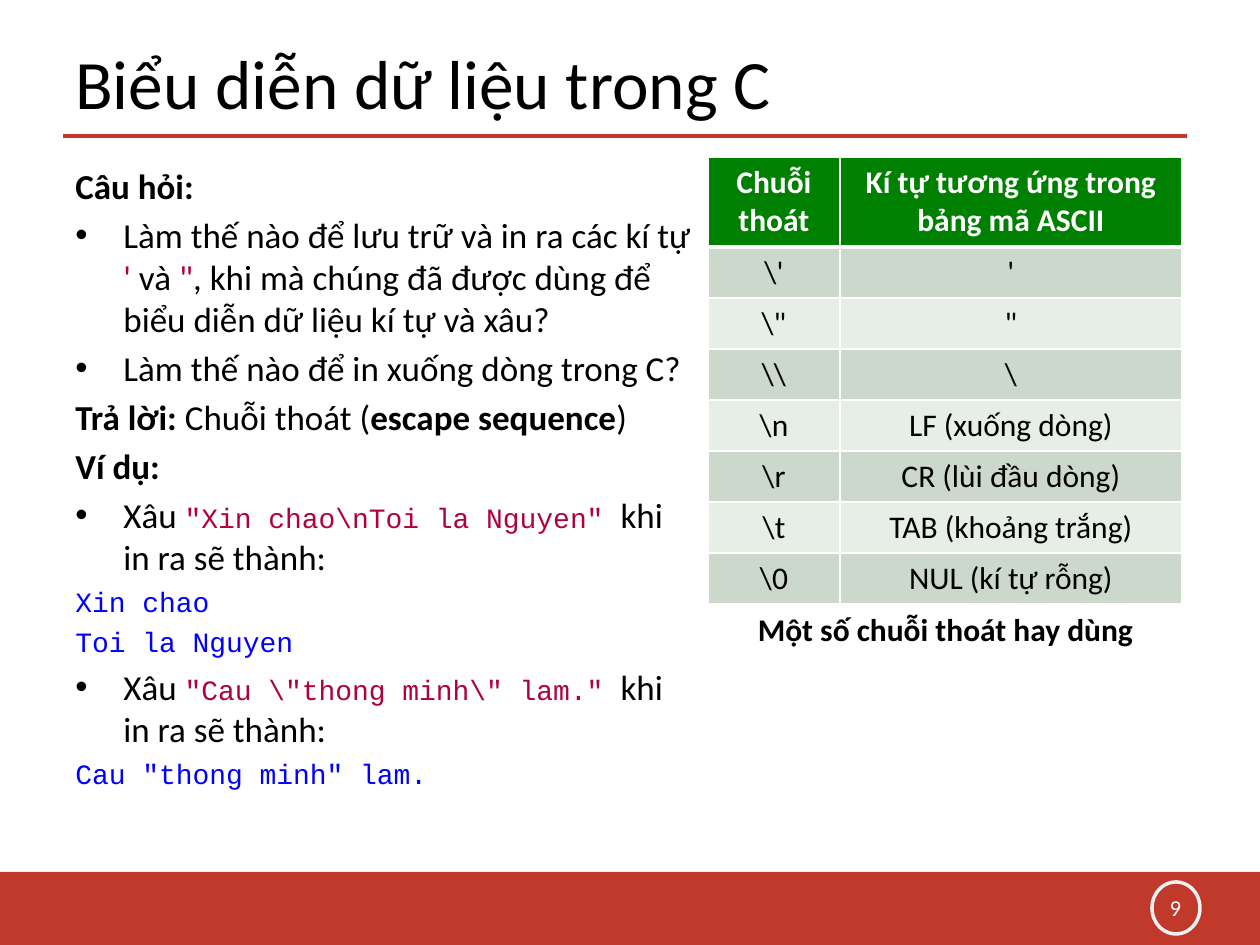
from dataclasses import dataclass

from lxml.etree import SubElement
from pptx import Presentation
from pptx.dml.color import RGBColor
from pptx.enum.shapes import MSO_CONNECTOR as CONN, MSO_SHAPE as SHAPE
from pptx.enum.text import MSO_ANCHOR as ANCHOR, PP_ALIGN as ALIGN
from pptx.oxml.ns import qn
from pptx.util import Emu, Pt


@dataclass(frozen=True)
class Theme:
    sans: str = "Calibri"
    mono: str = "Courier New"
    ink: str = "000000"
    white: str = "FFFFFF"
    red: str = "C0392B"
    ring: str = "ECF0F1"
    number: str = "FAFCFC"
    literal: str = "B00040"
    output: str = "0000FF"
    header: str = "008000"
    bands: tuple = ("CCD8CC", "E7EDE7")
    title_size: float = 39.6
    body_size: int = 20
    code_size: int = 16
    table_size: int = 18
    number_size: int = 13
    gap: int = 4


T = Theme()
STYLES = {
    "title": (T.sans, T.title_size, T.ink, False),
    "body": (T.sans, T.body_size, T.ink, False),
    "strong": (T.sans, T.body_size, T.ink, True),
    "quote": (T.sans, T.body_size, T.literal, False),
    "code": (T.mono, T.code_size, T.literal, False),
    "output": (T.mono, T.code_size, T.output, False),
    "header": (T.sans, T.table_size, T.white, True),
    "cell": (T.sans, T.table_size, T.ink, False),
    "caption": (T.sans, T.table_size, T.ink, True),
    "number": (T.sans, T.number_size, T.number, False),
}

BODY = [
    (False, [("Câu hỏi:", "strong")]),
    (True, [("Làm thế nào để lưu trữ và in ra các kí tự ", "body"), ("'", "quote"),
            (" và ", "body"), ('"', "quote"),
            (", khi mà chúng đã được dùng để biểu diễn dữ liệu kí tự và xâu?", "body")]),
    (True, [("Làm thế nào để in xuống dòng trong C?", "body")]),
    (False, [("Trả lời: ", "strong"), ("Chuỗi thoát (", "body"),
             ("escape sequence", "strong"), (")", "body")]),
    (False, [("Ví dụ:", "strong")]),
    (True, [("Xâu ", "body"), (r'"Xin chao\nToi la Nguyen" ', "code"),
            ("khi in ra sẽ thành:", "body")]),
    (False, [("Xin chao", "output")]),
    (False, [("Toi la Nguyen", "output")]),
    (True, [("Xâu ", "body"), (r'"Cau \"thong minh\" lam." ', "code"),
            ("khi in ra sẽ thành:", "body")]),
    (False, [('Cau "thong minh" lam.', "output")]),
]

ESCAPES = [
    ("Chuỗi thoát", "Kí tự tương ứng trong bảng mã ASCII"),
    (r"\'", "'"),
    (r"\"", '"'),
    (r"\\", "\\"),
    (r"\n", "LF (xuống dòng)"),
    (r"\r", "CR (lùi đầu dòng)"),
    (r"\t", "TAB (khoảng trắng)"),
    (r"\0", "NUL (kí tự rỗng)"),
]


def px(n):
    return Emu(round(n * 914400 / 126))


def rgb(color):
    return RGBColor.from_string(color)


def style_run(r, style):
    name, size, color, bold = STYLES[style]
    r.font.name = name
    r.font.size = Pt(size)
    r.font.color.rgb = rgb(color)
    r.font.bold = bold


def add_rule(s, x1, x2, y):
    line = s.shapes.add_connector(CONN.STRAIGHT, px(x1), px(y), px(x2), px(y))
    line.line.color.rgb = rgb(T.red)
    line.line.width = Pt(2.25)
    SubElement(line._element.spPr, qn("a:effectLst"))


def add_shape(s, kind, box, fill=None, line=None):
    sp = s.shapes.add_shape(kind, *map(px, box))
    sp.shadow.inherit = False
    if fill:
        sp.fill.solid()
        sp.fill.fore_color.rgb = rgb(fill)
    else:
        sp.fill.background()
    if line:
        sp.line.color.rgb = rgb(line)
        sp.line.width = Pt(2)
    else:
        sp.line.fill.background()


def add_frame(s, box, anchor=ANCHOR.TOP):
    tf = s.shapes.add_textbox(*map(px, box)).text_frame
    tf.word_wrap = True
    tf.vertical_anchor = anchor
    return tf


def add_label(s, box, text, style, align=ALIGN.LEFT, anchor=ANCHOR.TOP):
    p = add_frame(s, box, anchor).paragraphs[0]
    p.text = text
    p.alignment = align
    style_run(p.runs[0], style)


def add_bullet(p, indent):
    pPr = p._p.get_or_add_pPr()
    pPr.set("marL", str(px(indent)))
    pPr.set("indent", str(-px(indent)))
    SubElement(pPr, qn("a:buFont"), typeface="Arial")
    SubElement(pPr, qn("a:buChar"), char="•")


def add_body(s, box, paragraphs):
    tf = add_frame(s, box)
    for i, (bulleted, runs) in enumerate(paragraphs):
        p = tf.add_paragraph() if i else tf.paragraphs[0]
        p.space_before = Pt(T.gap)
        if bulleted:
            add_bullet(p, 48)
        for text, style in runs:
            r = p.add_run()
            r.text = text
            style_run(r, style)


def set_borders(cell, widths):
    tcPr = cell._tc.get_or_add_tcPr()
    for side, width in widths.items():
        ln = SubElement(tcPr, qn(f"a:ln{side}"), w=str(Pt(width)))
        SubElement(SubElement(ln, qn("a:solidFill")), qn("a:srgbClr"), val=T.white)


def add_table(s, x, y, widths, header_height, row_height, rows):
    heights = [header_height] + [row_height] * (len(rows) - 1)
    box = (x, y, sum(widths), sum(heights))
    table = s.shapes.add_table(len(rows), len(widths), *map(px, box)).table
    for column, width in zip(table.columns, widths):
        column.width = px(width)
    for i, (row, height) in enumerate(zip(rows, heights)):
        table.rows[i].height = px(height)
        for j, text in enumerate(row):
            cell = table.cell(i, j)
            set_borders(cell, {"L": 1, "R": 1, "T": 3 if i == 1 else 1, "B": 1 if i else 3})
            cell.fill.solid()
            cell.fill.fore_color.rgb = rgb(T.bands[(i - 1) % 2] if i else T.header)
            cell.text = text
            p = cell.text_frame.paragraphs[0]
            p.alignment = ALIGN.CENTER
            style_run(p.runs[0], "cell" if i else "header")


def main():
    prs = Presentation()
    prs.slide_width, prs.slide_height = px(1260), px(945)
    s = prs.slides.add_slide(prs.slide_layouts[6])
    add_rule(s, 63, 1187, 136)
    add_shape(s, SHAPE.RECTANGLE, (0, 872, 1260, 73), fill=T.red)
    add_shape(s, SHAPE.OVAL, (1152, 882, 48, 52), line=T.ring)
    add_label(s, (1144, 887, 63, 40), "9", "number", ALIGN.CENTER, ANCHOR.MIDDLE)
    add_label(s, (63, 38, 1008, 87), "Biểu diễn dữ liệu trong C", "title", anchor=ANCHOR.MIDDLE)
    add_body(s, (63, 158, 645, 698), BODY)
    add_table(s, 708, 157, (132, 342), 90, 51, ESCAPES)
    add_label(s, (742, 604, 407, 50), "Một số chuỗi thoát hay dùng", "caption", ALIGN.CENTER)
    prs.save("out.pptx")


if __name__ == "__main__":
    main()
